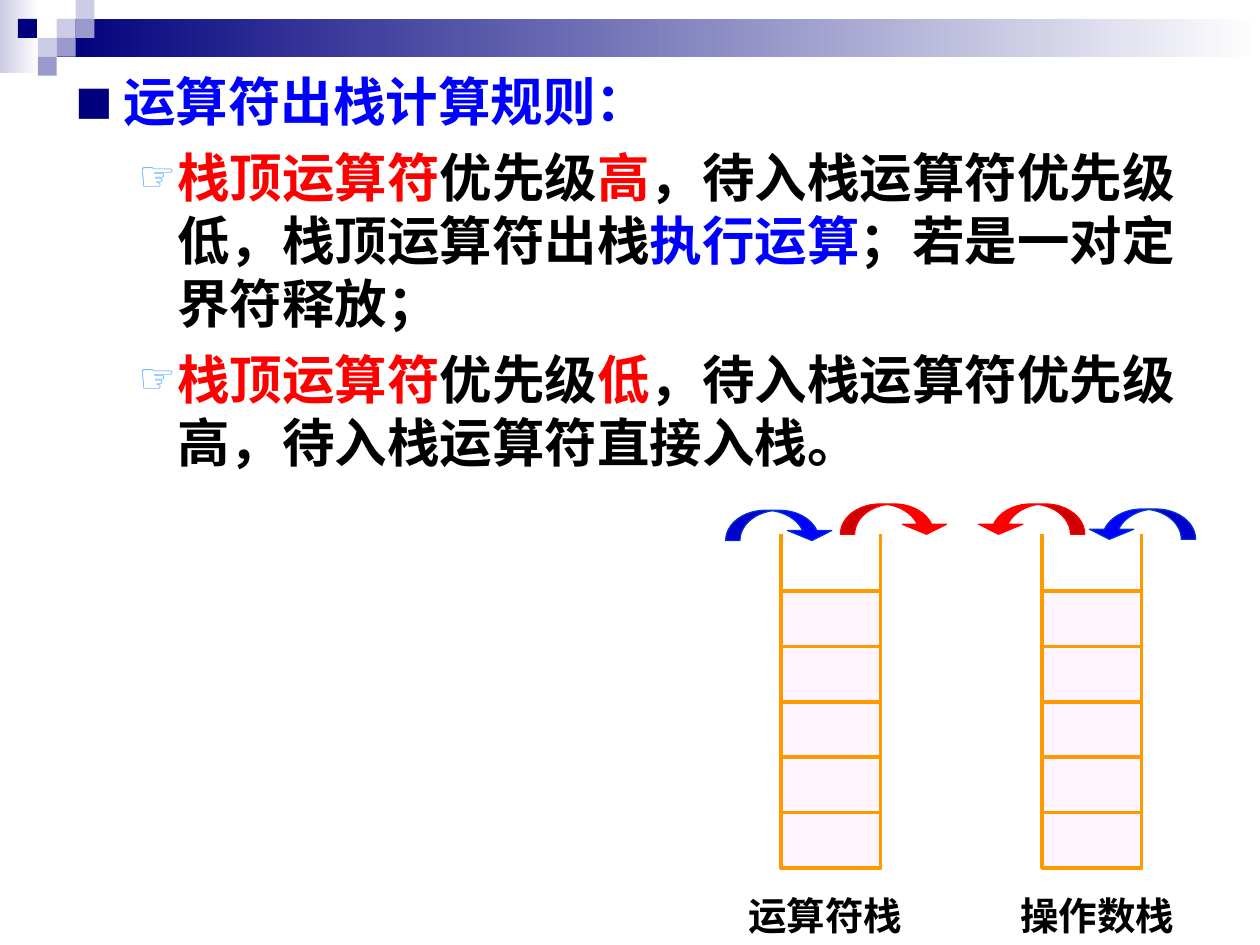
from pptx import Presentation
from pptx.dml.color import RGBColor
from pptx.enum.shapes import MSO_CONNECTOR, MSO_SHAPE
from pptx.oxml.ns import qn
from pptx.util import Inches, Pt
from lxml.etree import SubElement

NAVY = RGBColor(0x00, 0x00, 0x7D)
LAVENDER = RGBColor(0xCC, 0xCC, 0xE6)
VIOLET = RGBColor(0x99, 0x99, 0xCC)
WHITE = RGBColor(0xFF, 0xFF, 0xFF)
BLACK = RGBColor(0x00, 0x00, 0x00)
BLUE = RGBColor(0x00, 0x00, 0xFF)
ROYAL = RGBColor(0x00, 0x33, 0xCC)
RED = RGBColor(0xFF, 0x00, 0x00)
SKY = RGBColor(0x67, 0xAF, 0xFF)
ORANGE = RGBColor(0xFF, 0x99, 0x00)
PINK = RGBColor(0xFF, 0xF5, 0xFF)

SQUARE = 0.15
SQUARES = [(3, 1, LAVENDER), (4, 0, LAVENDER), (4, 1, VIOLET), (2, 2, LAVENDER),
           (0.95, 1, NAVY), (3, 2, VIOLET), (2, 3, VIOLET)]
SQUARE_BULLET = ("■", NAVY, 75, 0.38, 0.38)
HAND_BULLET = ("☞", SKY, 80, 0.81, 0.31)
RULES = [
    (SQUARE_BULLET, [("运算符出栈计算规则：", BLUE)]),
    (HAND_BULLET, [("栈顶运算符", RED), ("优先级", BLACK), ("高", RED),
                   ("，待入栈运算符优先级低，栈顶运算符出栈", BLACK),
                   ("执行运算", BLUE), ("；若是一对定界符释放；", BLACK)]),
    (HAND_BULLET, [("栈顶运算符", RED), ("优先级", BLACK), ("低", RED),
                   ("，待入栈运算符优先级高，待入栈运算符直接入栈。", BLACK)]),
]
STACKS = [(6.2, 5.84, "运算符栈"), (8.27, 8.0, "操作数栈")]
ARROWS = [(5.76, 4.05, BLUE, ROYAL, False), (8.63, 4.04, BLUE, ROYAL, True),
          (7.75, 4.0, RED, RED, True), (6.67, 4.0, RED, RED, False)]


class StackPage:
    """Holds the style and the current slide, and draws each kind of element."""

    cell_width, cell_height, cell_count = 0.79, 0.44, 5
    stack_top, rail_height, row_step, line_width = 4.69, 0.45, 0.44, 2

    def __init__(self, deck):
        self.page = deck.slides.add_slide(deck.slide_layouts[6])

    def shape(self, kind, left, top, width, height, fill, line=None, weight=0.75):
        shape = self.page.shapes.add_shape(
            kind, Inches(left), Inches(top), Inches(width), Inches(height))
        shape.shadow.inherit = False
        if isinstance(fill, list):
            shape.fill.gradient()
            shape.fill.gradient_angle = 0
            for stop, color, position in zip(shape.fill.gradient_stops, fill, (0, 1)):
                stop.color.rgb = color
                stop.position = position
        else:
            shape.fill.solid()
            shape.fill.fore_color.rgb = fill
        if line is None:
            shape.line.fill.background()
        else:
            shape.line.color.rgb = line
            shape.line.width = Pt(weight)
        return shape

    def rail(self, left):
        rail = self.page.shapes.add_connector(
            MSO_CONNECTOR.STRAIGHT, Inches(left), Inches(self.stack_top),
            Inches(left), Inches(self.stack_top - self.rail_height))
        rail.line.color.rgb = ORANGE
        rail.line.width = Pt(self.line_width)
        SubElement(rail._element.spPr, qn("a:effectLst"))

    def stack(self, left):
        for row in range(self.cell_count):
            self.shape(MSO_SHAPE.RECTANGLE, left, self.stack_top + row * self.row_step,
                       self.cell_width, self.cell_height, PINK, ORANGE, self.line_width)
        for side in (left, left + self.cell_width):
            self.rail(side)

    def arrow(self, left, top, fill, line, mirrored):
        arrow = self.shape(MSO_SHAPE.CURVED_DOWN_ARROW, left, top, 0.86, 0.24, fill, line)
        for index, value in enumerate((0.47, 1.46, 0.33)):
            arrow.adjustments[index] = value
        if mirrored:
            arrow._element.spPr.xfrm.set("flipH", "1")

    def text_box(self, left, top, width, height, wrap):
        box = self.page.shapes.add_textbox(
            Inches(left), Inches(top), Inches(width), Inches(height))
        box.text_frame.word_wrap = wrap
        return box.text_frame

    def span(self, para, text, color, size, name):
        span = para.add_run()
        span.text = text
        for key, value in {"size": Pt(size), "bold": True, "name": name}.items():
            setattr(span.font, key, value)
        span.font.color.rgb = color
        SubElement(span._r.get_or_add_rPr(), qn("a:ea")).set("typeface", name)

    def bullet(self, para, mark, color, percent, margin, hang):
        props = para._p.get_or_add_pPr()
        props.set("marL", str(Inches(margin)))
        props.set("indent", str(-Inches(hang)))
        SubElement(SubElement(props, qn("a:buClr")), qn("a:srgbClr")).set("val", str(color))
        SubElement(props, qn("a:buSzPct")).set("val", str(percent * 1000))
        SubElement(props, qn("a:buFont")).set("typeface", "DejaVu Sans")
        SubElement(props, qn("a:buChar")).set("char", mark)

    def rules(self, rules):
        frame = self.text_box(0.5, 0.5, 9, 6.25, True)
        for index, (bullet, spans) in enumerate(rules):
            para = frame.add_paragraph() if index else frame.paragraphs[0]
            if index:
                para.space_before = Pt(7.5)
                para.level = 1
            self.bullet(para, *bullet)
            for text, color in spans:
                self.span(para, text, color, 30, "Arial")

    def label(self, left, text):
        frame = self.text_box(left, 7.03, 1.42, 0.47, False)
        self.span(frame.paragraphs[0], text, BLACK, 22, "DejaVu Sans")

    def banner(self):
        self.shape(MSO_SHAPE.RECTANGLE, 0, 0, 0.31, 0.58, [LAVENDER, WHITE])
        self.shape(MSO_SHAPE.RECTANGLE, 0.45, 0.15, 9.55, 0.3, [NAVY, WHITE])
        for column, row, color in SQUARES:
            self.shape(MSO_SHAPE.RECTANGLE, column * SQUARE, row * SQUARE,
                       SQUARE, SQUARE, color)


def main():
    deck = Presentation()
    deck.slide_width, deck.slide_height = Inches(10), Inches(7.5)
    page = StackPage(deck)
    page.banner()
    page.rules(RULES)
    for left, label_left, name in STACKS:
        page.stack(left)
        page.label(label_left, name)
    for arrow in ARROWS:
        page.arrow(*arrow)
    deck.save("out.pptx")


if __name__ == "__main__":
    main()
